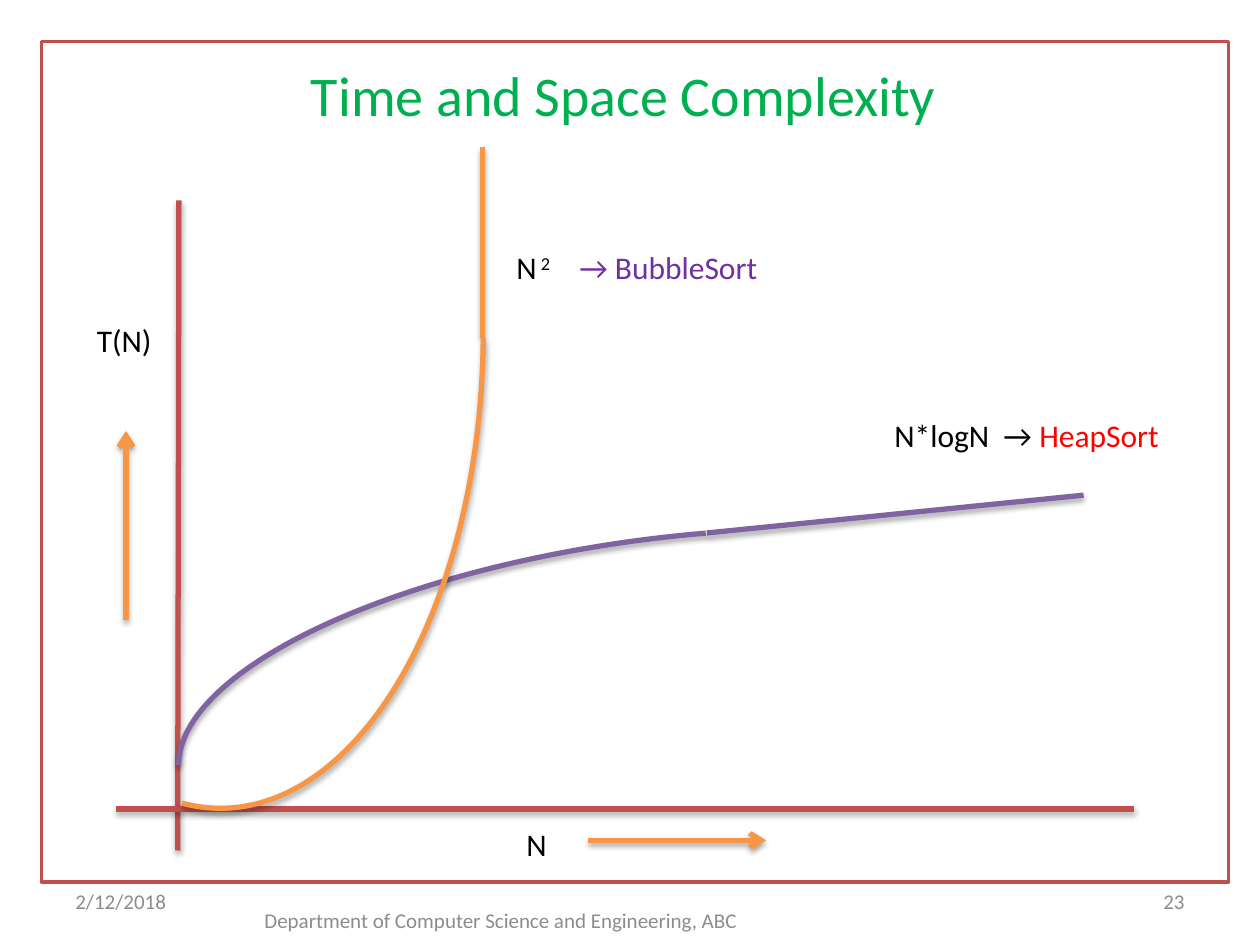
"""Build a slide that plots the growth of BubbleSort and HeapSort time."""
from lxml import etree
from pptx import Presentation
from pptx.dml.color import RGBColor
from pptx.enum import shapes as kinds, text as txt
from pptx.oxml import parse_xml
from pptx.util import Inches, Pt

NS = "http://schemas.openxmlformats.org/drawingml/2006/main"
RED, PURPLE, ORANGE, GRAY = "C0504D", "8064A2", "F79646", "8C8C8C"
SHADOW = (
    f'<a:effectLst xmlns:a="{NS}">'
    '<a:outerShdw blurRad="40000" dist="23000" dir="5400000" rotWithShape="0">'
    '<a:srgbClr val="000000"><a:alpha val="35000"/></a:srgbClr>'
    '</a:outerShdw></a:effectLst>'
)


def stroke(shape, color):
    shape.line.color.rgb = RGBColor.from_string(color)
    shape.line.width = Pt(3)
    shape.element.spPr.append(parse_xml(SHADOW))


def write(para, words, size, color):
    run = para.add_run()
    run.text = words
    run.font.name = "Calibri"
    run.font.size = Pt(size)
    run.font.color.rgb = RGBColor.from_string(color)
    return run


deck = Presentation()
deck.slide_width, deck.slide_height = Inches(10), Inches(7.5)
slide = deck.slides.add_slide(deck.slide_layouts[5])
parts = slide.shapes

frame = parts.add_shape(kinds.MSO_SHAPE.RECTANGLE, Inches(0.33), Inches(0.33),
                        Inches(9.42), Inches(6.67))
frame.shadow.inherit = False
frame.fill.solid()
frame.fill.fore_color.rgb = RGBColor.from_string("FFFFFF")
frame.line.color.rgb = RGBColor.from_string(RED)
frame.line.width = Pt(2)

title = parts.title
frame.element.addnext(title.element)
title.left, title.top = Inches(0.5), Inches(0.25)
title.width, title.height = Inches(9), Inches(1)
title.text_frame.vertical_anchor = txt.MSO_ANCHOR.MIDDLE
head = title.text_frame.paragraphs[0]
head.alignment = txt.PP_ALIGN.CENTER
write(head, "Time and Space Complexity ", 32, "00B050")

lines = [
    (1.42, 1.59, 1.41, 6.75, RED, False),
    (0.92, 6.42, 9, 6.42, RED, False),
    (5.61, 4.23, 8.6, 3.93, PURPLE, False),
    (4.67, 6.67, 6.08, 6.67, ORANGE, True),
    (1, 4.92, 1, 3.42, ORANGE, True),
    (3.83, 2.68, 3.83, 1.17, ORANGE, False),
]
for *ends, color, arrow in lines:
    line = parts.add_connector(kinds.MSO_CONNECTOR.STRAIGHT, *map(Inches, ends))
    stroke(line, color)
    if arrow:
        etree.SubElement(line.line._get_or_add_ln(), f"{{{NS}}}tailEnd", type="arrow")

arcs = [
    (1.39, 4.27, 7.83, 2.75, 352.8, 180.9, 289.06, PURPLE),
    (-2.04, 0.54, 7.58, 4.17, 90, 271.63, 4.67, ORANGE),
]
for *box, turn, start, end, color in arcs:
    arc = parts.add_shape(kinds.MSO_SHAPE.ARC, *map(Inches, box))
    arc.rotation = turn
    arc.adjustments[0], arc.adjustments[1] = start * 0.6, end * 0.6
    arc.fill.background()
    stroke(arc, color)

left, right = txt.PP_ALIGN.LEFT, txt.PP_ALIGN.RIGHT
top, mid = txt.MSO_ANCHOR.TOP, txt.MSO_ANCHOR.MIDDLE
labels = [
    (2, 7.1, 6.08, 12, left, mid,
     [("Department of Computer Science and Engineering, ABC", GRAY)]),
    (0.5, 6.95, 2.33, 12, left, mid, [("2/12/2018", GRAY)]),
    (7.17, 6.95, 2.33, 12, right, mid, [("23", GRAY)]),
    (4.08, 6.5, 0.67, 18, left, top, [("N", "000000")]),
    (0.67, 2.5, 0.67, 18, left, top, [("T(N)", "000000")]),
    (7, 3.25, 3, 18, left, top,
     [("N*logN  → ", "000000"), ("HeapSort", "FF0000")]),
    (4, 1.92, 1.75, 18, left, top, [("N", "000000"), (" 2", "000000")]),
    (4.5, 1.92, 1.67, 18, left, top, [("→ BubbleSort", "7030A0")]),
]
for x, y, wide, size, align, anchor, runs in labels:
    body = parts.add_textbox(Inches(x), Inches(y), Inches(wide), Inches(0.4)).text_frame
    body.word_wrap = True
    body.vertical_anchor = anchor
    para = body.paragraphs[0]
    para.alignment = align
    for words, color in runs:
        run = write(para, words, size, color)
        if words == " 2":
            run.font._element.set("baseline", "30000")

deck.save("out.pptx")
